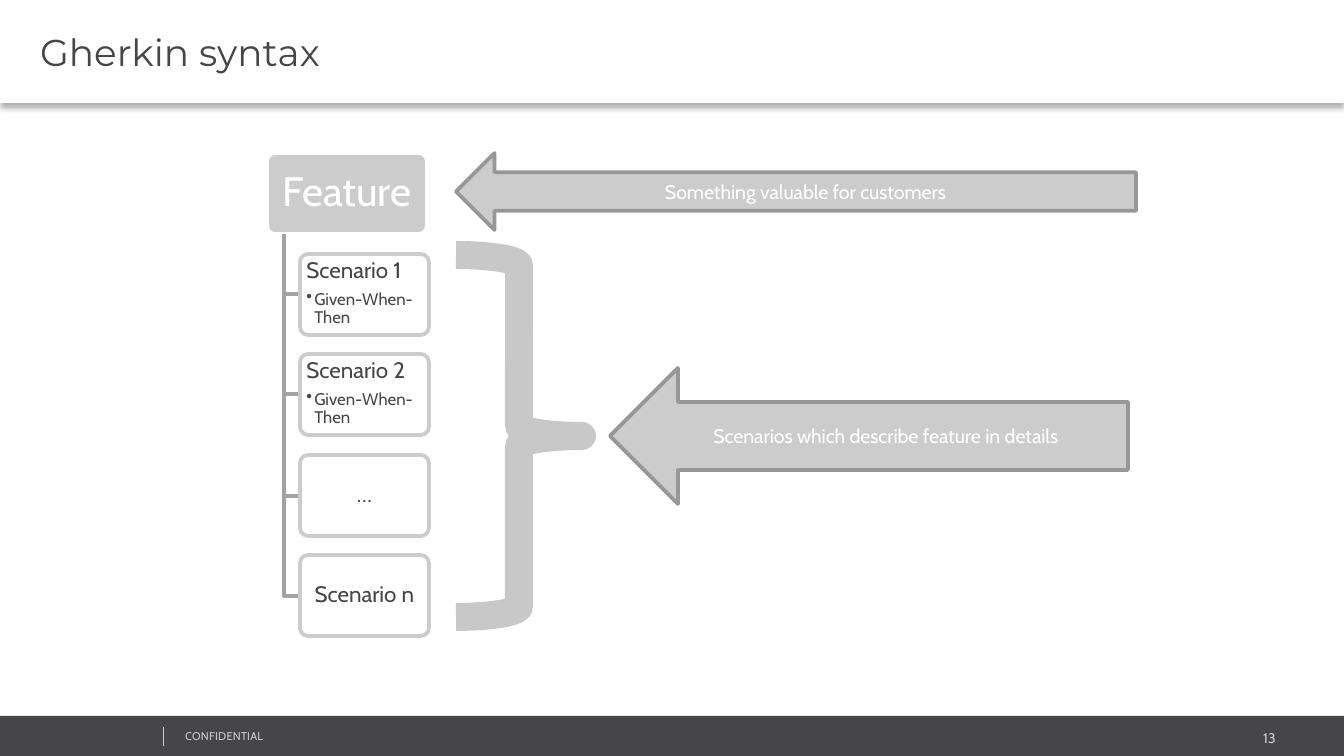
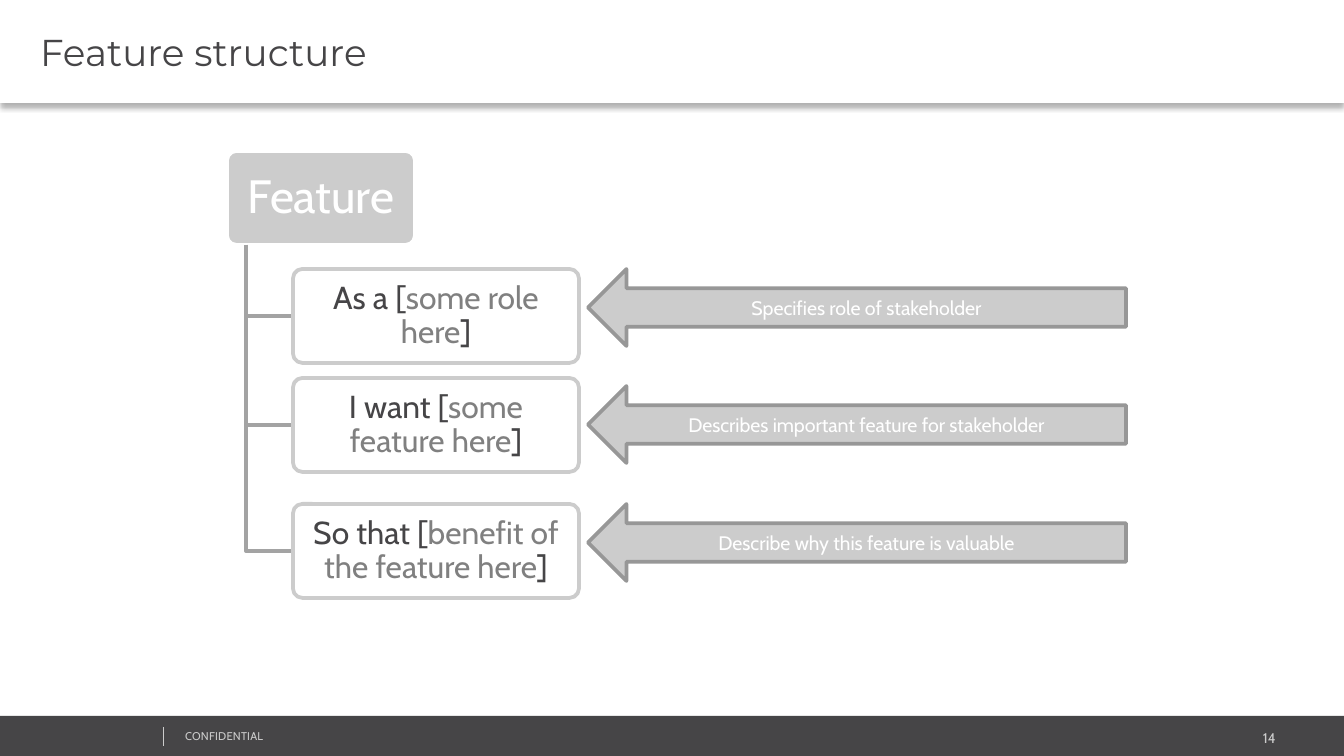
from dataclasses import dataclass

from lxml.etree import SubElement
from pptx import Presentation
from pptx.dml.color import RGBColor
from pptx.enum.shapes import MSO_CONNECTOR, MSO_SHAPE
from pptx.enum.text import MSO_ANCHOR, MSO_AUTO_SIZE, PP_ALIGN
from pptx.oxml.ns import qn
from pptx.util import Pt

PX = 914400 / 134.4  # EMU per px
WIDTH, HEIGHT = 1344, 756


@dataclass(frozen=True)
class Theme:
    dark: str = "464547"
    white: str = "FFFFFF"
    panel: str = "CCCCCC"
    brace: str = "C8C8C8"
    branch: str = "A3A3A3"
    arrow_edge: str = "979797"
    blank: str = "808080"
    body_font: str = "Cabin"
    title_font: str = "Montserrat"
    title_size: float = 20
    arrow_size: float = 10.5
    bullet_size: float = 9
    number_size: float = 7.5
    footer_size: float = 6


theme = Theme()


def px(*lengths):
    return [round(length * PX) for length in lengths]


def write(frame, text, size, color=theme.dark, font=theme.body_font, align=PP_ALIGN.CENTER,
          anchor=MSO_ANCHOR.MIDDLE, insets=None, line_spacing=None, space_after=None,
          bullet=False, tracking=None):
    """Add one paragraph; text is a string or a list of (string, colour) runs."""
    frame.word_wrap = True
    frame.auto_size = MSO_AUTO_SIZE.NONE
    frame.vertical_anchor = anchor
    if insets:
        (frame.margin_left, frame.margin_top,
         frame.margin_right, frame.margin_bottom) = px(*insets)
    paragraph = frame.add_paragraph() if frame.text else frame.paragraphs[0]
    if bullet:
        paragraph.level = 1
        properties = paragraph._p.get_or_add_pPr()
        indent = px(8)[0]
        properties.set("marL", str(indent))
        properties.set("indent", str(-indent))
        SubElement(properties, qn("a:buChar"), char="•")
    paragraph.alignment = align
    if line_spacing:
        paragraph.line_spacing = line_spacing
    if space_after:
        paragraph.space_after = Pt(space_after)
    for words, run_color in ([(text, color)] if isinstance(text, str) else text):
        run = paragraph.add_run()
        run.text = words
        run.font.name = font
        run.font.size = Pt(size)
        run.font.color.rgb = RGBColor.from_string(run_color)
        if tracking:
            run.font._element.set("spc", str(tracking))


# Each step is (top, text, bullet); each arrow is (left, top, width, height, text).
topics = [
    dict(
        title="Gherkin syntax", number="13",
        feature=(267, 153, 160, 81), feature_size=22, stem=284,
        step_box=(300, 129, 81), step_size=12,
        steps=[(254, "Scenario 1", "Given-When-Then"),
               (354, "Scenario 2", "Given-When-Then"),
               (455, "…", None),
               (555, "Scenario n", None)],
        arrows=[(456, 153, 680, 77, "Something valuable for customers"),
                (610, 368, 518, 136, "Scenarios which describe feature in details")],
        brace=(456, 255, 126, 362),
    ),
    dict(
        title="Feature structure", number="14",
        feature=(227, 151, 188, 94), feature_size=25, stem=246,
        step_box=(293, 286, 94), step_size=17,
        steps=[(top, [(opening, theme.dark), (blank, theme.blank), ("]", theme.dark)], None)
               for top, opening, blank in [
                   (269, "As a [", "some role here"),
                   (378, "I want [", "some feature here"),
                   (504, "So that [", "benefit of the feature here")]],
        arrows=[(588, top, 538, 77, text) for top, text in [
            (269, "Specifies role of stakeholder"),
            (386, "Describes important feature for stakeholder"),
            (504, "Describe why this feature is valuable")]],
        brace=None,
    ),
]

deck = Presentation()
deck.slide_width, deck.slide_height = px(WIDTH, HEIGHT)

for topic in topics:
    slide = deck.slides.add_slide(deck.slide_layouts[5])
    shapes = slide.shapes

    def add_panel(kind, box, fill=None, line=None, line_width=2):
        panel = shapes.add_shape(kind, *px(*box))
        panel.shadow.inherit = False
        if fill:
            panel.fill.solid()
            panel.fill.fore_color.rgb = RGBColor.from_string(fill)
        else:
            panel.fill.background()
        if line:
            panel.line.color.rgb = RGBColor.from_string(line)
            panel.line.width = Pt(line_width)
        else:
            panel.line.fill.background()
        return panel

    # Title band with a soft shadow
    title = shapes.title
    title.left, title.top, title.width, title.height = px(0, 0, WIDTH, 103)
    title.fill.solid()
    title.fill.fore_color.rgb = RGBColor.from_string(theme.white)
    effects = SubElement(title.element.spPr, qn("a:effectLst"))
    shadow = SubElement(effects, qn("a:outerShdw"), blurRad=str(Pt(3.1)), dist=str(Pt(2)),
                        dir="5400000", algn="t", rotWithShape="0")
    shadow_color = SubElement(shadow, qn("a:srgbClr"), val="000000")
    SubElement(shadow_color, qn("a:alpha"), val="30000")
    write(title.text_frame, topic["title"], theme.title_size, font=theme.title_font,
          align=PP_ALIGN.LEFT, insets=(40, 5, 9, 5))

    # Footer
    add_panel(MSO_SHAPE.RECTANGLE, (0, 716, WIDTH, 40), fill=theme.dark)
    page_number = shapes.add_textbox(*px(1070, 723, 219, 31))
    write(page_number.text_frame, topic["number"], theme.number_size, theme.panel,
          align=PP_ALIGN.RIGHT, anchor=MSO_ANCHOR.TOP)
    notice = shapes.add_textbox(*px(172, 723, 340, 27))
    write(notice.text_frame, "CONFIDENTIAL", theme.footer_size, theme.panel,
          align=PP_ALIGN.LEFT, anchor=MSO_ANCHOR.TOP, tracking=10)
    divider = shapes.add_connector(MSO_CONNECTOR.STRAIGHT, *px(163, 727, 163, 746))
    divider.line.color.rgb = RGBColor.from_string(theme.panel)
    divider.line.width = Pt(0.25)
    SubElement(divider.element.spPr, qn("a:effectLst"))

    # Feature with its branches
    feature = add_panel(MSO_SHAPE.ROUNDED_RECTANGLE, topic["feature"], theme.panel, theme.white)
    feature.adjustments[0] = 0.1
    write(feature.text_frame, "Feature", topic["feature_size"], theme.white,
          insets=(7, 4, 7, 4), line_spacing=0.9)
    feature_bottom = topic["feature"][1] + topic["feature"][3]
    step_left, step_width, step_height = topic["step_box"]

    for top, text, bullet in topic["steps"]:
        middle = top + step_height / 2
        outline = shapes.build_freeform(topic["stem"], feature_bottom, scale=PX)
        outline.add_line_segments([(topic["stem"], middle), (step_left, middle)], close=False)
        branch = outline.convert_to_shape()
        branch.shadow.inherit = False
        branch.fill.background()
        branch.line.color.rgb = RGBColor.from_string(theme.branch)
        branch.line.width = Pt(2)

        step = add_panel(MSO_SHAPE.ROUNDED_RECTANGLE, (step_left, top, step_width, step_height),
                         theme.white, theme.panel)
        step.adjustments[0] = 0.1
        SubElement(step.element.spPr.find(qn("a:solidFill"))[0], qn("a:alpha"), val="90000")
        layout = dict(insets=(4, 3, 4, 3), line_spacing=0.9)
        if bullet:
            layout.update(align=PP_ALIGN.LEFT, anchor=MSO_ANCHOR.TOP)
        write(step.text_frame, text, topic["step_size"],
              space_after=4 if bullet else None, **layout)
        if bullet:
            write(step.text_frame, bullet, theme.bullet_size, bullet=True, **layout)

    # Explanations
    for *box, text in topic["arrows"]:
        arrow = add_panel(MSO_SHAPE.LEFT_ARROW, box, theme.panel, theme.arrow_edge)
        write(arrow.text_frame, text, theme.arrow_size, theme.white)
    if topic["brace"]:
        add_panel(MSO_SHAPE.RIGHT_BRACE, topic["brace"], line=theme.brace, line_width=15)

deck.save("out.pptx")
